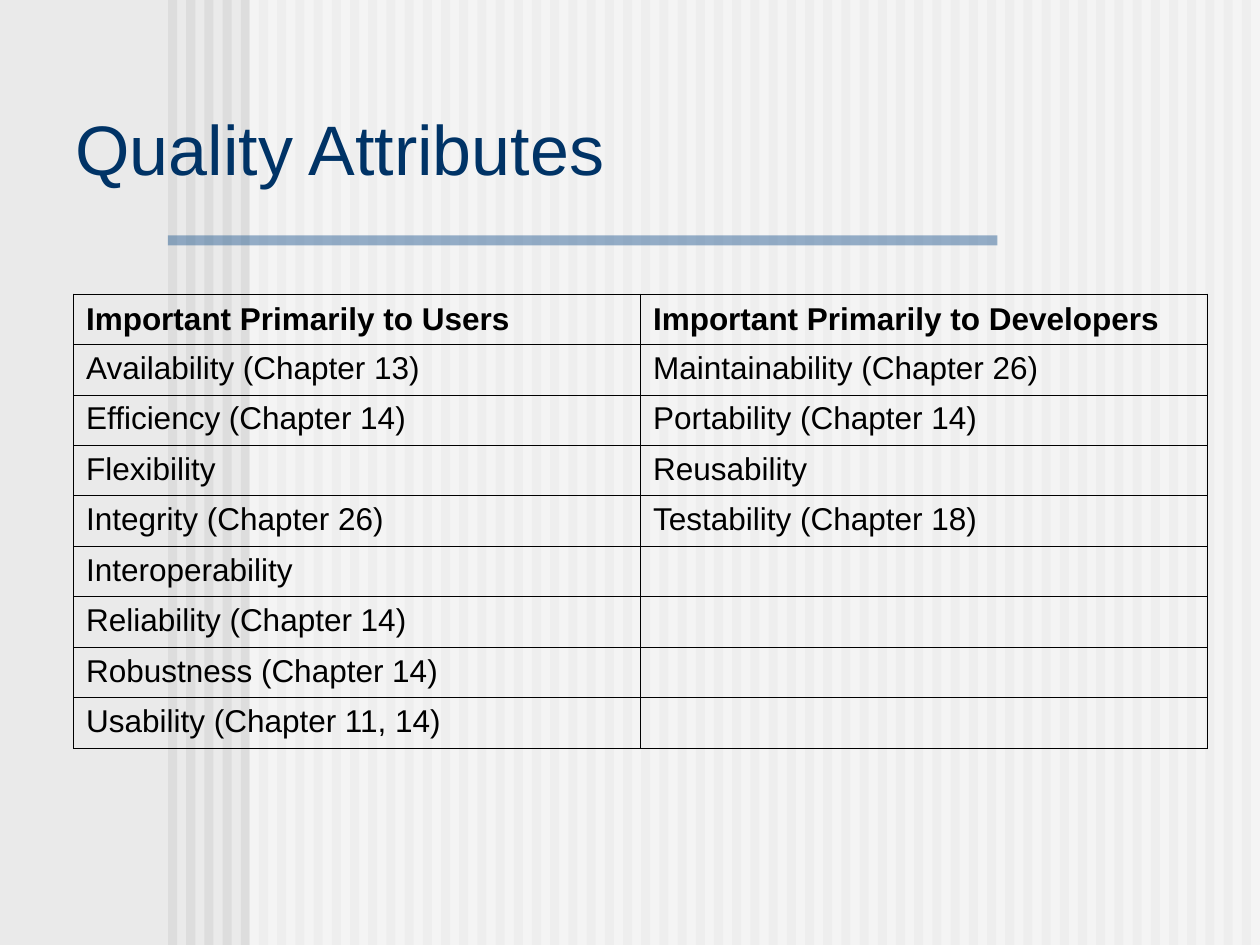
"""Build the Quality Attributes slide: striped backdrop, title and two-column table."""
from itertools import product, zip_longest

from pptx import Presentation
from pptx.dml.color import RGBColor
from pptx.enum.shapes import MSO_SHAPE
from pptx.enum.text import MSO_ANCHOR
from pptx.oxml.ns import qn
from pptx.util import Pt
from lxml.etree import SubElement

COLORS = {
    "background": "EAEAEA",
    "stripe": "DDDDDD",
    "veil": "FFFFFF",
    "rule": "336699",
    "title": "003366",
    "text": "000000",
}
FONT = "Arial"
WIDTH, HEIGHT = 720, 540
STRIPE_COUNT, STRIPE_LEFT, STRIPE_PITCH = 60, 96, 10.4
ROW_HEIGHT, COLUMN_WIDTH, HANGING_INDENT = 28.8, 324, 27

USERS = [
    "Important Primarily to Users",
    "Availability (Chapter 13)",
    "Efficiency (Chapter 14)",
    "Flexibility",
    "Integrity (Chapter 26)",
    "Interoperability",
    "Reliability (Chapter 14)",
    "Robustness (Chapter 14)",
    "Usability (Chapter 11, 14)",
]
DEVELOPERS = [
    "Important Primarily to Developers",
    "Maintainability (Chapter 26)",
    "Portability (Chapter 14)",
    "Reusability",
    "Testability (Chapter 18)",
]


def rgb(name):
    return RGBColor.from_string(COLORS[name])


def add_block(slide, left, top, width, height, color, opacity=100):
    shape = slide.shapes.add_shape(
        MSO_SHAPE.RECTANGLE, Pt(left), Pt(top), Pt(width), Pt(height))
    shape.shadow.inherit = False
    shape.line.fill.background()
    shape.fill.solid()
    shape.fill.fore_color.rgb = rgb(color)
    if opacity < 100:
        fill_color = shape._element.spPr.find(f"{qn('a:solidFill')}/{qn('a:srgbClr')}")
        SubElement(fill_color, qn("a:alpha"), val=str(opacity * 1000))


def add_backdrop(slide):
    fill = slide.background.fill
    fill.solid()
    fill.fore_color.rgb = rgb("background")
    for index in range(STRIPE_COUNT):
        add_block(slide, STRIPE_LEFT + index * STRIPE_PITCH, 0, 5.2, HEIGHT, "stripe")
    add_block(slide, 142.5, 0, WIDTH - 142.5, HEIGHT, "veil", 50)
    add_block(slide, STRIPE_LEFT, 134.5, 474, 5.75, "rule", 50)


def style_font(paragraph, size, color, bold=False):
    font = paragraph.font
    font.name, font.size, font.bold = FONT, Pt(size), bold
    font.color.rgb = rgb(color)


def add_title(slide, text):
    frame = slide.shapes.add_textbox(Pt(36), Pt(21.6), Pt(648), Pt(90)).text_frame
    frame.word_wrap = True
    frame.vertical_anchor = MSO_ANCHOR.BOTTOM
    frame.text = text
    style_font(frame.paragraphs[0], 40, "title")


def add_borders(cell):
    properties = cell._tc.get_or_add_tcPr()
    for side in ("lnL", "lnR", "lnT", "lnB"):
        line = SubElement(properties, qn(f"a:{side}"), w=str(Pt(0.45)))
        fill = SubElement(line, qn("a:solidFill"))
        SubElement(fill, qn("a:srgbClr"), val=COLORS["text"])


def fill_cell(cell, text, header):
    add_borders(cell)
    cell.fill.background()
    cell.vertical_anchor = MSO_ANCHOR.MIDDLE if header else MSO_ANCHOR.TOP
    cell.text = text
    paragraph = cell.text_frame.paragraphs[0]
    properties = paragraph._p.get_or_add_pPr()
    properties.set("marL", str(Pt(HANGING_INDENT)))
    properties.set("indent", str(Pt(-HANGING_INDENT)))
    style_font(paragraph, 18, "text", header)


def add_attribute_table(slide, columns):
    rows = list(zip_longest(*columns, fillvalue=""))
    table = slide.shapes.add_table(
        len(rows), len(columns), Pt(42), Pt(168),
        Pt(COLUMN_WIDTH * len(columns)), Pt(ROW_HEIGHT * len(rows))).table
    table.first_row = table.horz_banding = False
    for row in table.rows:
        row.height = Pt(ROW_HEIGHT)
    for row, column in product(range(len(rows)), range(len(columns))):
        fill_cell(table.cell(row, column), rows[row][column], row == 0)


def main():
    presentation = Presentation()
    presentation.slide_width, presentation.slide_height = Pt(WIDTH), Pt(HEIGHT)
    slide = presentation.slides.add_slide(presentation.slide_layouts[6])
    add_backdrop(slide)
    add_title(slide, "Quality Attributes")
    add_attribute_table(slide, [USERS, DEVELOPERS])
    presentation.save("out.pptx")


if __name__ == "__main__":
    main()
